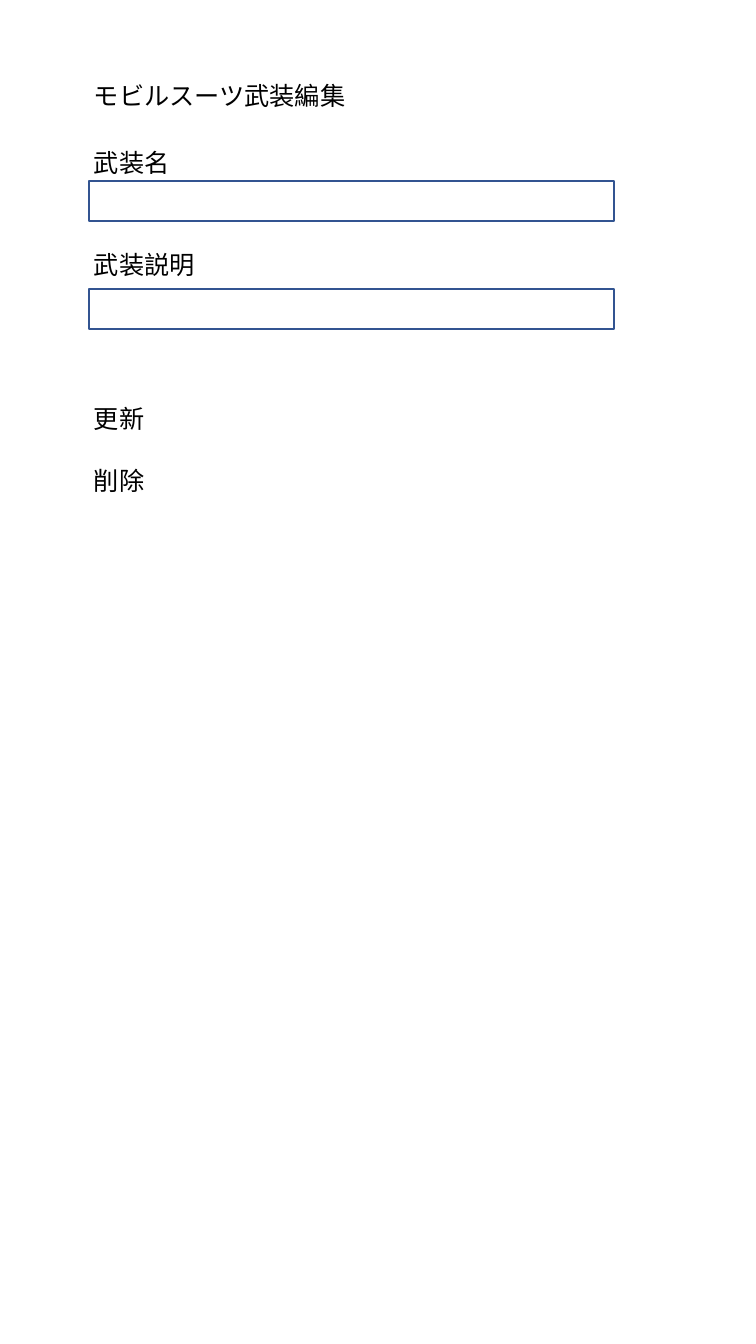
from pptx import Presentation
from pptx import util as u
from pptx.dml.color import RGBColor
from pptx.enum import shapes, text

# Lengths are whole pixels, 100.8 to the inch
TITLE = ("モビルスーツ武装編集", 75)
FIELDS = [("武装名", 142, 181), ("武装説明", 244, 289)]  # label, label top, box top
ACTIONS = [("更新", 398), ("削除", 460)]

TEXT_LEFT, TITLE_WIDTH, LABEL_WIDTH = 84, 294, 165
BOX_LEFT, BOX_WIDTH = 89, 525
ROW_HEIGHT = 40
FONT, FONT_SIZE = "Calibri", 18
INK, PAPER, BORDER = "000000", "FFFFFF", "325491"


def px(*lengths):
    """Turn pixels into EMU."""
    return [u.Emu(round(length * u.Inches(1) / 100.8)) for length in lengths]


def color(hex_code):
    """Turn a hex string into a colour."""
    return RGBColor.from_string(hex_code)


def add_label(slide, wording, top, width=LABEL_WIDTH):
    """Add one line of text at the left margin."""
    label = slide.shapes.add_textbox(*px(TEXT_LEFT, top, width, ROW_HEIGHT))
    frame = label.text_frame
    frame.word_wrap = True
    frame.auto_size = text.MSO_AUTO_SIZE.SHAPE_TO_FIT_TEXT
    frame.text = wording
    font = frame.paragraphs[0].font
    font.name, font.size = FONT, u.Pt(FONT_SIZE)
    font.color.rgb = color(INK)


def add_input_box(slide, top):
    """Add an empty outlined input box."""
    box = slide.shapes.add_shape(
        shapes.MSO_SHAPE.RECTANGLE, *px(BOX_LEFT, top, BOX_WIDTH, ROW_HEIGHT))
    box.shadow.inherit = False
    box.fill.solid()
    box.fill.fore_color.rgb = color(PAPER)
    box.line.color.rgb = color(BORDER)
    box.line.width = u.Pt(1)


deck = Presentation()
deck.slide_width, deck.slide_height = u.Inches(7.5), u.Inches(13.33)
form = deck.slides.add_slide(deck.slide_layouts[6])

add_label(form, *TITLE, width=TITLE_WIDTH)
for name, label_top, box_top in FIELDS:
    add_input_box(form, box_top)
    add_label(form, name, label_top)
for action, action_top in ACTIONS:
    add_label(form, action, action_top)

deck.save("out.pptx")
